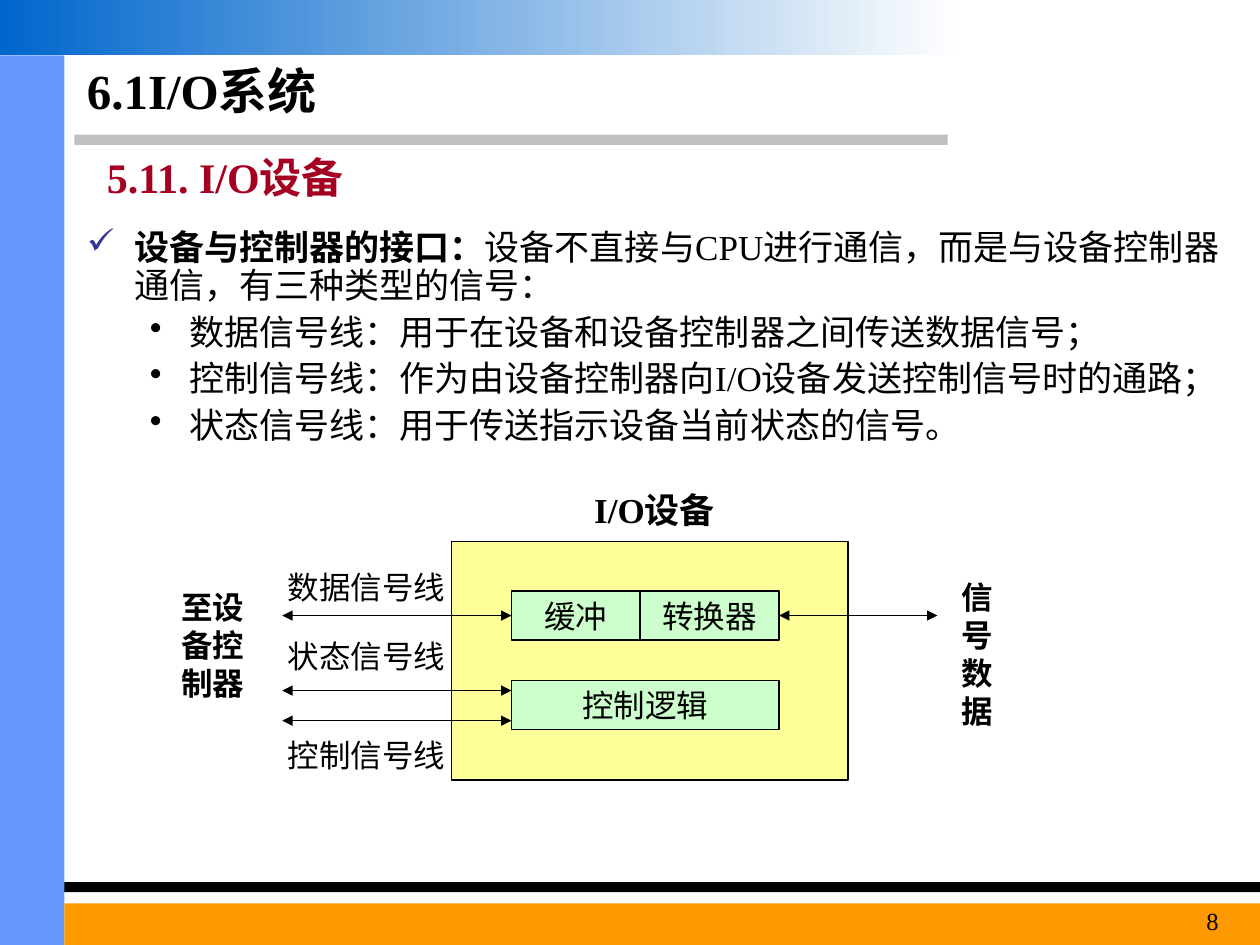
import pptx
import pptx.util
import pptx.dml.color
import pptx.enum.shapes
import pptx.enum.text
import pptx.oxml
import pptx.oxml.ns

Pt = pptx.util.Pt
ALIGN = pptx.enum.text.PP_ALIGN
ANCHOR = pptx.enum.text.MSO_ANCHOR
RECT = pptx.enum.shapes.MSO_SHAPE.RECTANGLE
STRAIGHT = pptx.enum.shapes.MSO_CONNECTOR.STRAIGHT

THEME = {
    "font": "Times New Roman",
    "title": 28, "head": 24, "body": 20, "label": 18, "page": 14,
    "ink": "000000", "red": "A50021", "check": "333399",
    "grey": "C0C0C0", "blue": "6699FF", "orange": "FF9900",
    "deep": "0066CC", "pale": "FEFEFE",
    "yellow": "FFFF99", "green": "CCFFCC",
}

# Content: boxes are (left, top, width, height) in points
BANDS = [
    ((42.5, 77, 499, 5.8), "grey"),
    ((0, 504, 720, 5.8), "ink"),
    ((0, 31.7, 36.8, 508.3), "blue"),
    ((36.8, 516.2, 683.2, 23.8), "orange"),
]
BANNER = (0, 0, 547.2, 31.7)
TITLE = ("6.1I/O系统", (42.5, 31.7, 493.2, 39.6))
BODY_BOX = (42.5, 128.2, 663.1, 141.8)
# (bold lead, text, bullet, bullet colour, left margin, hanging indent)
BODY = [
    ("设备与控制器的接口：", "设备不直接与CPU进行通信，而是与设备控制器通信，有三种类型的信号：",
     "✓", "check", 27, 27),
] + [("", text, "•", "ink", 58.5, 22.5) for text in (
    "数据信号线：用于在设备和设备控制器之间传送数据信号；",
    "控制信号线：作为由设备控制器向I/O设备发送控制信号时的通路；",
    "状态信号线：用于传送指示设备当前状态的信号。",
)]
DEVICE = (257.8, 309.6, 226.8, 136.1)
UNITS = [
    ("缓冲", (292.3, 337.7, 73.4, 28.1)),
    ("转换器", (365.7, 337.7, 79.5, 28.1)),
    ("控制逻辑", (292.3, 388.8, 152.9, 28.1)),
]
# (text, box, size, colour, bold, alignment)
NOTES = [
    ("5.11. I/O设备", (54, 82.8, 408.2, 36), "head", "red", True, ALIGN.LEFT),
    ("I/O设备", (320.1, 275.8, 108, 31.7), "body", "ink", True, ALIGN.CENTER),
    ("信号数据", (535.7, 326.9, 45.4, 93.6), "label", "ink", True, ALIGN.CENTER),
    ("至设备控制器", (87.8, 332.6, 67.7, 72), "label", "ink", True, ALIGN.CENTER),
    ("8", (637.9, 514.1, 65.5, 25.9), "page", "ink", False, ALIGN.RIGHT),
]
SIGNALS = [("数据信号线", 321.1), ("状态信号线", 360.7), ("控制信号线", 416.9)]
WIRE_LEFT, WIRE_RIGHT = 161.3, 535.7
LOGIC_WIRES = (394.6, 411.8)


def color(name):
    return pptx.dml.color.RGBColor.from_string(THEME[name])


def place(box):
    return [Pt(v) for v in box]


def style(para, size, ink="ink", bold=False, align=ALIGN.LEFT):
    para.alignment = align
    font = para.font
    font.name, font.size = THEME["font"], Pt(THEME[size])
    font.bold, font.color.rgb = bold, color(ink)


def block(box, fill, line=None):
    shape = slide.shapes.add_shape(RECT, *place(box))
    shape.shadow.inherit = False
    shape.fill.solid()
    shape.fill.fore_color.rgb = color(fill)
    if line:
        shape.line.color.rgb, shape.line.width = color(line), Pt(0.75)
    else:
        shape.line.fill.background()
    return shape


def note(text, box, size, ink="ink", bold=False, align=ALIGN.CENTER):
    frame = slide.shapes.add_textbox(*place(box)).text_frame
    frame.word_wrap = True
    frame.text = text
    style(frame.paragraphs[0], size, ink, bold, align)


def add_xml(parent, tag, **attrs):
    node = pptx.oxml.parse_xml(f"<a:{tag} {pptx.oxml.ns.nsdecls('a')}/>")
    for key, value in attrs.items():
        node.set(key, value)
    parent.append(node)
    return node


def wire(left, right, y):
    line = slide.shapes.add_connector(STRAIGHT, *place((left, y, right, y)))
    line.line.color.rgb, line.line.width = color("ink"), Pt(0.75)
    ends = line.line._get_or_add_ln()
    for tag in ("headEnd", "tailEnd"):
        add_xml(ends, tag, type="triangle")
    add_xml(line._element.spPr, "effectLst")
    return line


deck = pptx.Presentation()
deck.slide_width, deck.slide_height = Pt(720), Pt(540)
slide = deck.slides.add_slide(deck.slide_layouts[5])

# Frame bands and the fading banner
for box, fill in BANDS:
    block(box, fill)
banner = block(BANNER, "deep")
banner.fill.gradient()
banner.fill.gradient_angle = 0
for stop, name in zip(banner.fill.gradient_stops, ("deep", "pale")):
    stop.color.rgb = color(name)

# Title
title = slide.shapes.title
title.left, title.top, title.width, title.height = place(TITLE[1])
title.text_frame.text = TITLE[0]
title.text_frame.auto_size = pptx.enum.text.MSO_AUTO_SIZE.NONE
title.text_frame.vertical_anchor = ANCHOR.MIDDLE
style(title.text_frame.paragraphs[0], "title", bold=True)

# Bulleted body
frame = slide.shapes.add_textbox(*place(BODY_BOX)).text_frame
frame.word_wrap = True
for i, (lead, text, mark, tint, margin, hang) in enumerate(BODY):
    para = frame.add_paragraph() if i else frame.paragraphs[0]
    para.line_spacing = 0.9
    para.space_before = Pt(5 if i else 0)
    props = para._p.get_or_add_pPr()
    props.set("marL", str(Pt(margin)))
    props.set("indent", str(-Pt(hang)))
    add_xml(add_xml(props, "buClr"), "srgbClr", val=THEME[tint])
    add_xml(props, "buChar", char=mark)
    if lead:
        run = para.add_run()
        run.text, run.font.bold = lead, True
    para.add_run().text = text
    style(para, "body")

# Device and its units
block(DEVICE, "yellow", "ink")
units = []
for text, box in UNITS:
    unit = block(box, "green", "ink")
    unit.text_frame.text = text
    unit.text_frame.word_wrap = False
    unit.text_frame.vertical_anchor = ANCHOR.MIDDLE
    style(unit.text_frame.paragraphs[0], "label", align=ALIGN.CENTER)
    units.append(unit)
buffer, convert, logic = units

# Labels
for item in NOTES:
    note(*item)
for text, top in SIGNALS:
    note(text, (155.5, top, 108, 28.8), "label")

# Signal wires
row = UNITS[0][1][1] + UNITS[0][1][3] / 2
edge = UNITS[0][1][0]
wire(WIRE_LEFT, edge, row).end_connect(buffer, 1)
wire(sum(UNITS[1][1][::2]), WIRE_RIGHT, row).begin_connect(convert, 3)
for y in LOGIC_WIRES:
    wire(WIRE_LEFT, edge, y)

deck.save("out.pptx")
